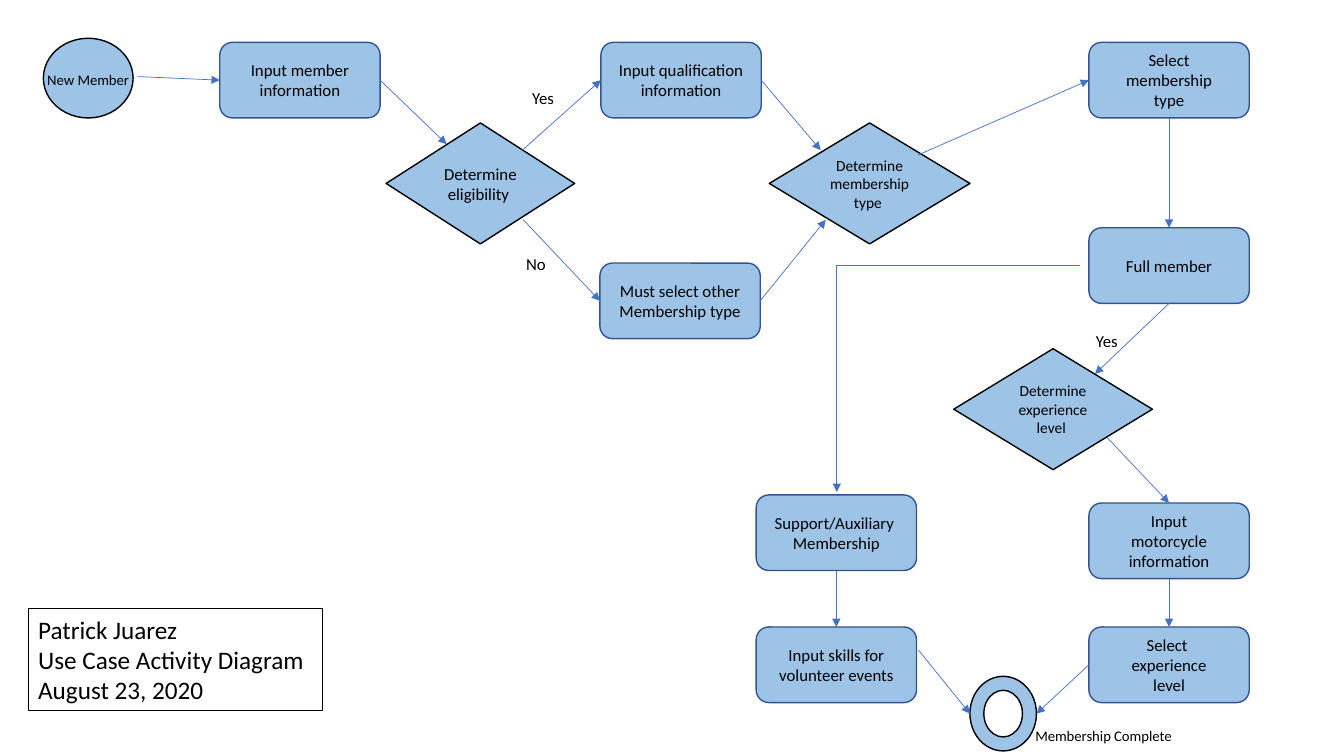
from dataclasses import dataclass
from typing import Optional

from lxml.etree import SubElement
from pptx import Presentation
from pptx.dml.color import RGBColor
from pptx.enum.shapes import MSO_CONNECTOR as Link, MSO_SHAPE as Form
from pptx.enum.text import MSO_ANCHOR as Anchor, MSO_AUTO_SIZE as Fit, PP_ALIGN as Align
from pptx.oxml.ns import qn
from pptx.util import Inches, Pt

COLORS = {"fill": "9DC3E6", "box": "325491", "arrow": "4472C4",
          "ink": "000000"}
FONT = "Calibri"
STEP_SIZE = (1.59, 0.75)
TOP, LEFT, BOTTOM, RIGHT = range(4)


@dataclass
class Step:
    name: str
    left: float
    top: float
    lines: list[str]


@dataclass
class Decision:
    left: float
    top: float
    width: float
    text: str
    size: float = 11


@dataclass
class Label:
    text: str
    left: float
    top: float
    width: float
    height: float = 0.3
    size: float = 12
    wrap: bool = False
    border: bool = False


@dataclass
class Arrow:
    """Each end is a point, or a step name with the side to join."""
    start: tuple
    end: tuple
    bend: Optional[int] = None


COLUMN, SUPPORT_COLUMN = 10.8, 7.5
STEPS = [
    Step("member", 2.18, 0.42, ["Input member information"]),
    Step("qualification", 5.96, 0.42, ["Input qualification information"]),
    Step("other type", 5.95, 2.61, ["Must select other", "Membership type"]),
    Step("select type", COLUMN, 0.42, ["Select", "membership", "type"]),
    Step("full member", COLUMN, 2.26, ["Full member"]),
    Step("motorcycle", COLUMN, 4.99, ["Input", "motorcycle", "information"]),
    Step("experience", COLUMN, 6.22, ["Select ", "experience", "level"]),
    Step("support", SUPPORT_COLUMN, 4.91, ["Support/Auxiliary ", "Membership"]),
    Step("skills", SUPPORT_COLUMN, 6.22, ["Input skills for volunteer events"]),
]
DECISIONS = [
    Decision(3.83, 1.22, 1.87, "Determine eligibility ", 12),
    Decision(7.63, 1.22, 1.99, "Determine membership type "),
    Decision(9.46, 3.46, 1.97, "Determine experience level "),
]
START_LABEL = Label("New Member", 0.37, 0.65, 1.09, 0.28, 10.5, wrap=True)
LABELS = [
    Label("Yes", 5.18, 0.82, 0.42),
    Label("No", 5.12, 2.47, 0.4),
    Label("Yes", 10.77, 3.23, 0.42),
    Label("Membership Complete", 10.17, 7.16, 1.59, 0.28, 10.5, wrap=True),
    Label("Patrick Juarez\nUse Case Activity Diagram\nAugust 23, 2020",
          0.28, 6.04, 2.92, 1.01, 18, border=True),
]
ARROWS = [
    Arrow((1.37, 0.76), ("member", LEFT)),
    Arrow(("member", RIGHT), (4.43, 1.43)),
    Arrow((5.18, 1.49), ("qualification", LEFT)),
    Arrow((5.19, 2.18), ("other type", LEFT)),
    Arrow(("qualification", RIGHT), (8.14, 1.49)),
    Arrow(("other type", RIGHT), (8.19, 2.18)),
    Arrow((9.1, 1.54), ("select type", LEFT)),
    Arrow(("select type", BOTTOM), ("full member", TOP)),
    Arrow(("full member", BOTTOM), (10.86, 3.71)),
    Arrow((10.98, 4.34), ("motorcycle", TOP)),
    Arrow(("motorcycle", BOTTOM), ("experience", TOP)),
    Arrow(("experience", LEFT), (10.28, 7.08)),
    Arrow((10.71, 2.63), (8.3, 4.88), bend=100000),
    Arrow(("support", BOTTOM), ("skills", TOP)),
    Arrow((9.11, 6.45), (9.62, 7.08)),
]


def color(name: str) -> RGBColor:
    return RGBColor.from_string(COLORS[name])


def write(box, lines: list[str], *, size: float, align=Align.LEFT,
          anchor=Anchor.TOP, wrap: bool = True) -> None:
    frame = box.text_frame
    frame.word_wrap = wrap
    frame.vertical_anchor = anchor
    for index, line in enumerate(lines):
        para = frame.paragraphs[0] if index == 0 else frame.add_paragraph()
        para.alignment = align
        span = para.add_run()
        span.text = line
        span.font.name = FONT
        span.font.size = Pt(size)
        span.font.color.rgb = color("ink")


def add_form(parent, form, left: float, top: float, width: float,
             height: float, *, line: str = "ink"):
    box = parent.add_shape(form, Inches(left), Inches(top),
                           Inches(width), Inches(height))
    box.shadow.inherit = False
    box.fill.solid()
    box.fill.fore_color.rgb = color("fill")
    box.line.color.rgb = color(line)
    box.line.width = Pt(1)
    return box


def add_step(parent, step: Step):
    box = add_form(parent, Form.ROUNDED_RECTANGLE, step.left, step.top,
                   *STEP_SIZE, line="box")
    write(box, step.lines, size=12, align=Align.CENTER, anchor=Anchor.MIDDLE)
    return box


def add_decision(parent, decision: Decision) -> None:
    box = add_form(parent, Form.FLOWCHART_DECISION, decision.left,
                   decision.top, decision.width, 1.2)
    write(box, [decision.text], size=decision.size, align=Align.CENTER,
          anchor=Anchor.MIDDLE)


def add_label(parent, label: Label) -> None:
    box = parent.add_textbox(Inches(label.left), Inches(label.top),
                             Inches(label.width), Inches(label.height))
    write(box, label.text.split("\n"), size=label.size, wrap=label.wrap)
    box.text_frame.auto_size = Fit.SHAPE_TO_FIT_TEXT
    if label.border:
        box.line.color.rgb = color("ink")
        box.line.width = Pt(0.75)


def add_arrow(parent, arrow: Arrow, steps: dict) -> None:
    ends = (arrow.start, arrow.end)
    points = [(0, 0) if end[0] in steps else end for end in ends]
    kind = Link.STRAIGHT if arrow.bend is None else Link.ELBOW
    link = parent.add_connector(
        kind, *(Inches(value) for point in points for value in point))
    for end, join in zip(ends, (link.begin_connect, link.end_connect)):
        if end[0] in steps:
            join(steps[end[0]], end[1])
    link.line.color.rgb = color("arrow")
    link.line.width = Pt(0.5)
    properties = link._element.spPr
    SubElement(properties.find(qn("a:ln")), qn("a:tailEnd"), type="triangle")
    SubElement(properties, qn("a:effectLst"))
    if arrow.bend is not None:
        guides = properties.find(qn("a:prstGeom")).find(qn("a:avLst"))
        SubElement(guides, qn("a:gd"), name="adj1", fmla=f"val {arrow.bend}")


def main() -> None:
    deck = Presentation()
    deck.slide_width, deck.slide_height = Inches(13.33), Inches(7.5)
    page = deck.slides.add_slide(deck.slide_layouts[6])
    shapes = page.shapes

    # Start and finish markers
    start = shapes.add_group_shape().shapes
    add_form(start, Form.FLOWCHART_CONNECTOR, 0.43, 0.38, 0.89, 0.79)
    add_label(start, START_LABEL)
    finish = add_form(shapes, Form.DONUT, 9.62, 6.71, 0.66, 0.74)
    finish.adjustments[0] = 0.21

    # Decisions and steps
    for decision in DECISIONS:
        add_decision(shapes, decision)
    steps = {step.name: add_step(shapes, step) for step in STEPS}

    # Flow arrows and labels
    for arrow in ARROWS:
        add_arrow(shapes, arrow, steps)
    for label in LABELS:
        add_label(shapes, label)

    deck.save("out.pptx")


if __name__ == "__main__":
    main()
